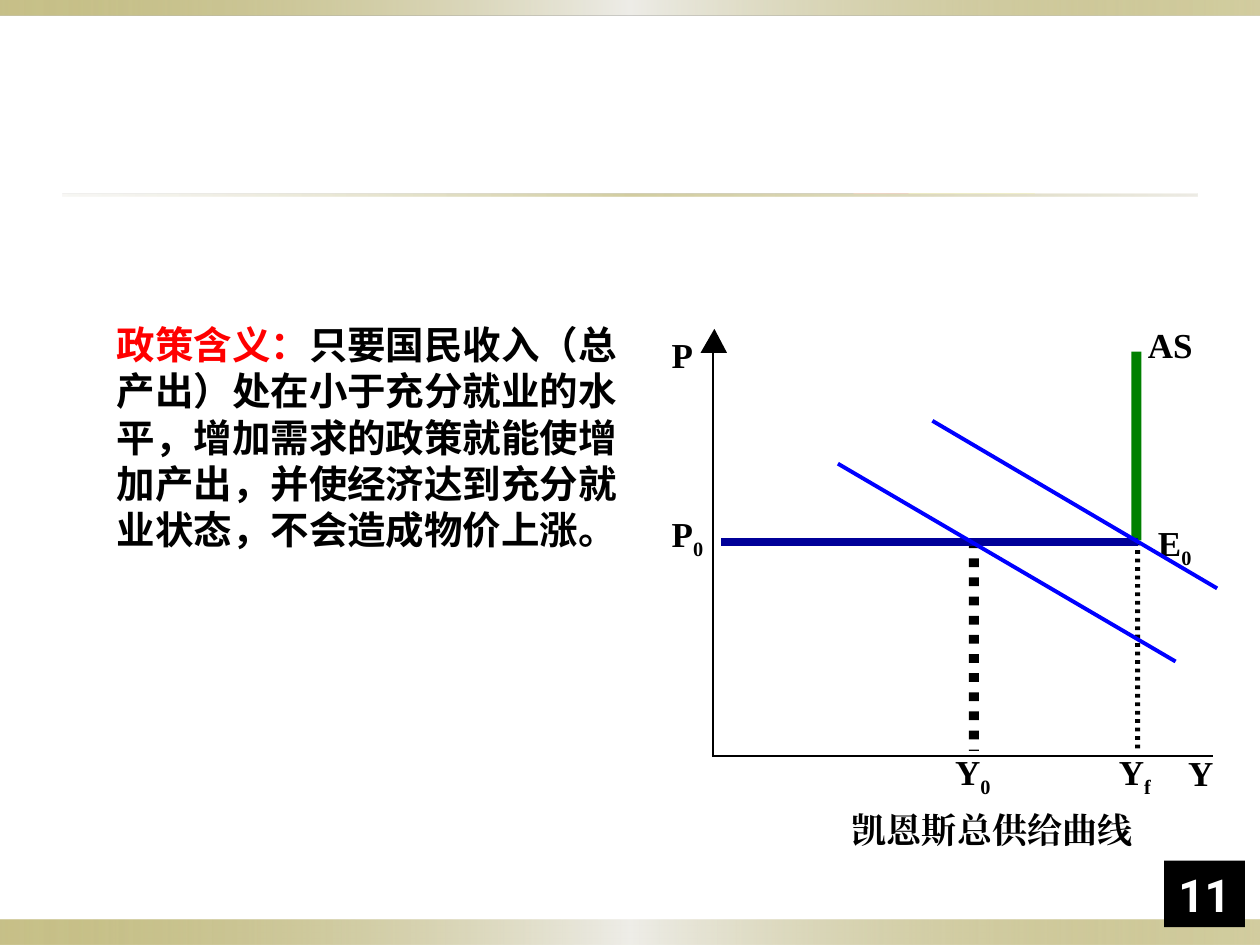
import pptx
import pptx.dml.color
import pptx.enum.dml
import pptx.enum.shapes
import pptx.enum.text
import pptx.oxml
import pptx.oxml.ns
import pptx.util
from lxml import etree

Inches, Pt = pptx.util.Inches, pptx.util.Pt
ALIGN = pptx.enum.text.PP_ALIGN
RECT = pptx.enum.shapes.MSO_SHAPE.RECTANGLE
SERIF = "Times New Roman"

# Content: bands as (box, gradient stops of position, colour, opacity)
BAND_STOPS = [(0, "918415", 50), (50, "EEEDE8", 100), (100, "918415", 40)]
RULE_STOPS = [(0, "DCD9CC", 20), (50, "918415", 40), (100, "DCD9CC", 50)]
BANDS = [
    ((0, 7.3, 10, 0.2), BAND_STOPS),
    ((0, 0, 10, 0.12), BAND_STOPS),
    ((0.5, 1.54, 9, 0.02), RULE_STOPS),
]

POLICY = [
    ("政策含义：", "FF0000"),
    ("只要国民收入（总产出）处在小于充分就业的水平，增加需求的政策就能使增加产出，"
     "并使经济达到充分就业状态，不会造成物价上涨。", "000000"),
]
CAPTION = "凯恩斯总供给曲线"

# Chart labels: text, subscript, box, wrap
LABELS = [
    ("Y", "0", (7.58, 5.96, 0.29, 0.33), False),
    ("Y", "f", (8.88, 5.96, 0.47, 0.33), True),
    ("Y", "", (9.43, 6.03, 0.2, 0.27), False),
    ("P", "", (5.33, 2.65, 0.17, 0.33), False),
    ("P", "0", (5.33, 4.07, 0.31, 0.33), True),
    ("E", "0", (9.19, 4.14, 0.39, 0.33), True),
    ("AS", "", (9.11, 2.57, 0.36, 0.33), False),
]

# Lines: start, end, colour, width
AXES = [
    ((5.65, 6), (9.63, 6), "000000", 1.5),
    ((5.66, 5.99), (5.66, 2.79), "000000", 1.5),
]
CURVES = [
    ((9.03, 4.3), (5.72, 4.3), "000099", 4.5),
    ((6.65, 3.68), (9.33, 5.25), "0000FF", 2.25),
    ((7.4, 3.34), (9.66, 4.67), "0000FF", 2.25),
]

# Dropped dashes: left, top, width, dash height, pitch, bottom
DROPS = [
    (9.01, 4.3, 0.04, 0.03, 1.61 / 24, 5.94),
    (7.69, 4.28, 0.08, 0.07, 1.67 / 11, 5.96),
]

prs = pptx.Presentation()
prs.slide_width, prs.slide_height = Inches(10), Inches(7.5)
s = prs.slides.add_slide(prs.slide_layouts[6])


def rgb(value):
    return pptx.dml.color.RGBColor.from_string(value)


def paint(sp, color):
    sp.shadow.inherit = False
    sp.fill.solid()
    sp.fill.fore_color.rgb = rgb(color)
    sp.line.fill.background()


def add_rect(box, color):
    sp = s.shapes.add_shape(RECT, *map(Inches, box))
    paint(sp, color)
    return sp


def add_band(box, stops):
    sp = add_rect(box, "FFFFFF")
    sp.fill.gradient()
    sp.fill.gradient_angle = 0
    gs_list = sp._element.spPr.find(".//" + pptx.oxml.ns.qn("a:gsLst"))
    for gs in list(gs_list):
        gs_list.remove(gs)
    for pos, color, opacity in stops:
        gs_list.append(pptx.oxml.parse_xml(
            f'<a:gs {pptx.oxml.ns.nsdecls("a")} pos="{pos * 1000}"><a:srgbClr val="{color}">'
            f'<a:alpha val="{opacity * 1000}"/></a:srgbClr></a:gs>'))


def add_line(start, end, color, width):
    c = s.shapes.add_connector(pptx.enum.shapes.MSO_CONNECTOR.STRAIGHT,
                               *map(Inches, start + end))
    c.line.color.rgb = rgb(color)
    c.line.width = Pt(width)
    etree.SubElement(c._element.spPr, pptx.oxml.ns.qn("a:effectLst"))


def add_run(p, text, size, font, color="000000", subscript=False):
    r = p.add_run()
    r.text = text
    r.font.size, r.font.bold, r.font.name = Pt(size), True, font
    r.font.color.rgb = rgb(color)
    rPr = r._r.get_or_add_rPr()
    etree.SubElement(rPr, pptx.oxml.ns.qn("a:ea")).set("typeface", font)
    if subscript:
        rPr.set("baseline", "-25000")


def add_text(box, wrap=True, inset=True):
    tf = s.shapes.add_textbox(*map(Inches, box)).text_frame
    tf.word_wrap = wrap
    tf.auto_size = pptx.enum.text.MSO_AUTO_SIZE.SHAPE_TO_FIT_TEXT
    if not inset:
        tf.margin_left = tf.margin_top = tf.margin_right = tf.margin_bottom = 0
    return tf.paragraphs[0]


# Slide bands and title rule
for box, stops in BANDS:
    add_band(box, stops)

# Axes with the arrowhead of the price axis
for line in AXES:
    add_line(*line)
fb = s.shapes.build_freeform(Inches(5.77), Inches(2.8))
fb.add_line_segments([(Inches(5.67), Inches(2.61)), (Inches(5.56), Inches(2.8))], close=True)
paint(fb.convert_to_shape(), "000000")

# Vertical part of the supply curve and the dashes down to the output axis
add_rect((8.98, 2.79, 0.08, 1.5), "008000")
for left, top, width, dash, pitch, bottom in DROPS:
    for i in range(int((bottom - top) / pitch) + 1):
        y = top + i * pitch
        add_rect((left, y, width, min(dash, bottom - y)), "000000")

# Labels and caption
for text, sub, box, wrap in LABELS:
    p = add_text(box, wrap, inset=False)
    add_run(p, text, 20, SERIF)
    if sub:
        add_run(p, sub, 20, SERIF, subscript=True)
    if box[3] < 0.3:
        p.line_spacing = 0.8
p = add_text((6.26, 6.42, 3.23, 0.33), inset=False)
p.alignment = ALIGN.CENTER
add_run(p, CAPTION, 20, SERIF)

# Horizontal supply and the two demand curves
for line in CURVES:
    add_line(*line)

# Policy text
p = add_text((0.83, 2.5, 4.33, 1.95))
for text, color in POLICY:
    add_run(p, text, 22, "Arial", color)

# Page number
tf = add_rect((9.24, 6.83, 0.64, 0.53), "000000").text_frame
tf.vertical_anchor = pptx.enum.text.MSO_ANCHOR.BOTTOM
p = tf.paragraphs[0]
p.alignment = ALIGN.CENTER
add_run(p, "11", 26, "Roboto", "FFFFFF")

prs.save("out.pptx")
